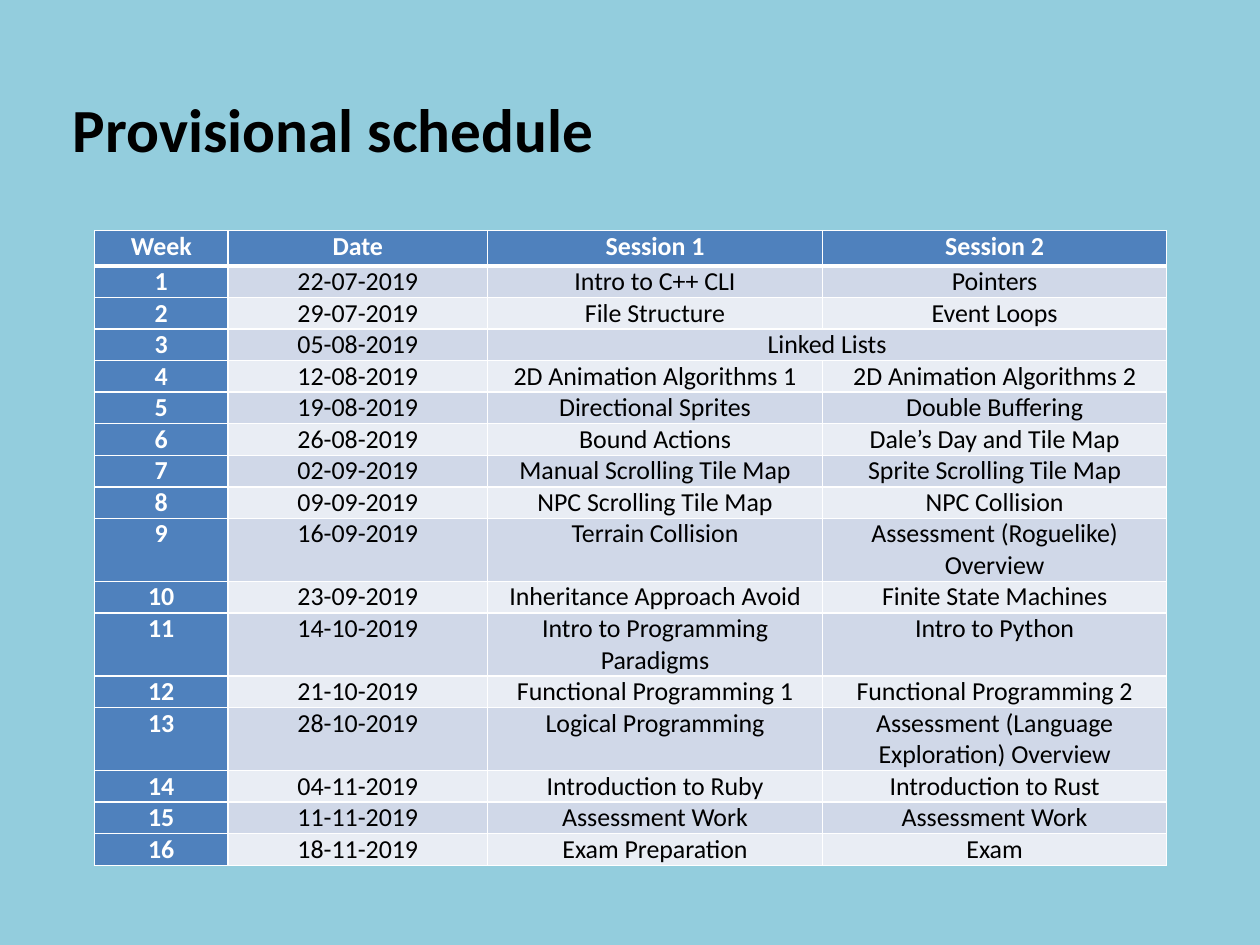
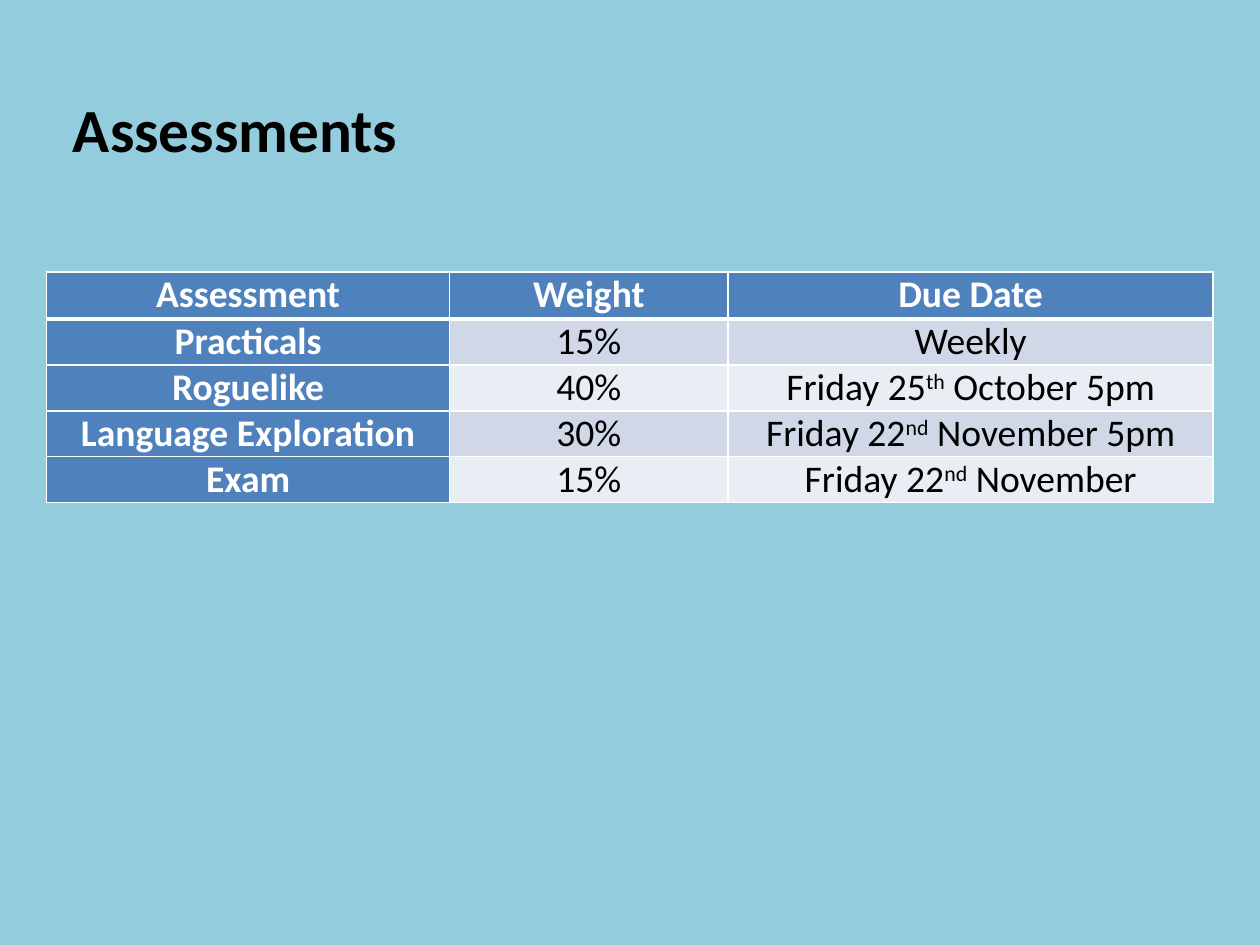
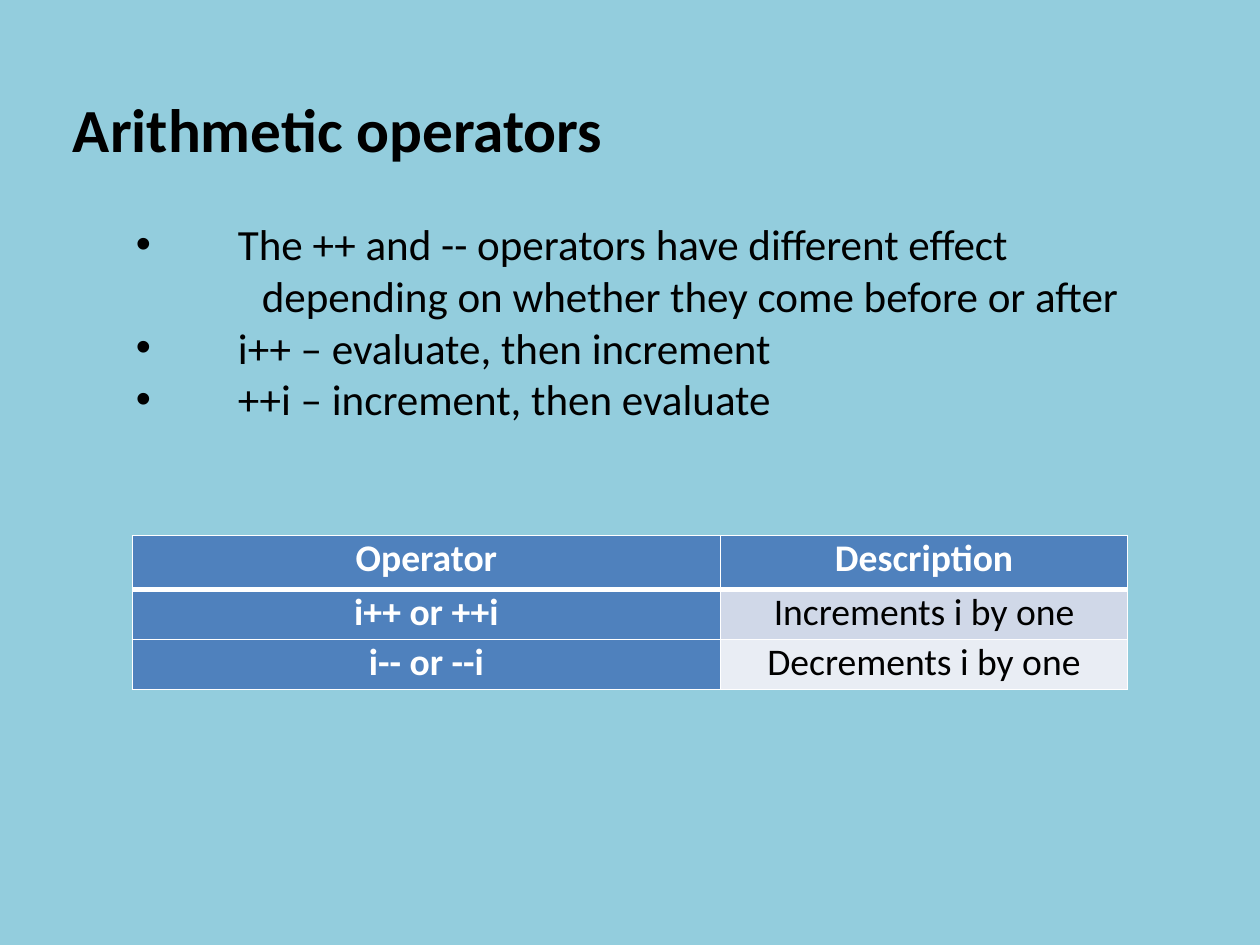
from dataclasses import dataclass

from lxml import etree
from pptx import Presentation
from pptx.dml.color import RGBColor
from pptx.enum import text as t
from pptx.oxml import ns
from pptx.util import Pt

COLORS = {
    "background": "93CDDD",
    "header": "4F81BD",
    "odd": "D0D8E8",
    "even": "E9EDF4",
    "white": "FFFFFF",
    "black": "000000",
}
FONT = "Calibri"
FRAME_LEFT = 0.72
SLIDE_WIDTH, SLIDE_HEIGHT = 720, 540
TITLE_SIZE, BODY_SIZE = 35, 24.6


@dataclass(frozen=True)
class TableBlock:
    left: float
    top: float
    columns: tuple[float, ...]
    header_height: float
    line_height: float
    size: float
    inset: float
    rows: tuple[tuple[str | None, ...], ...]
    tall_rows: tuple[int, ...] = ()


@dataclass(frozen=True)
class Point:
    text: str
    indent: float = 130.3
    hanging: float = 58.3
    bullet: bool = True


SCHEDULE = TableBlock(
    left=54, top=131.8, columns=(76.3, 148.3, 191.5, 196.6),
    header_height=20.2, line_height=18, size=14.8, inset=7.2,
    tall_rows=(9, 11, 13),
    rows=(
        ("Week", "Date", "Session 1", "Session 2"),
        ("1", "22-07-2019", "Intro to C++ CLI", "Pointers"),
        ("2", "29-07-2019", "File Structure", "Event Loops"),
        ("3", "05-08-2019", "Linked Lists", None),
        ("4", "12-08-2019", "2D Animation Algorithms 1", "2D Animation Algorithms 2"),
        ("5", "19-08-2019", "Directional Sprites", "Double Buffering"),
        ("6", "26-08-2019", "Bound Actions", "Dale’s Day and Tile Map"),
        ("7", "02-09-2019", "Manual Scrolling Tile Map", "Sprite Scrolling Tile Map"),
        ("8", "09-09-2019", "NPC Scrolling Tile Map", "NPC Collision"),
        ("9", "16-09-2019", "Terrain Collision", "Assessment (Roguelike) Overview"),
        ("10", "23-09-2019", "Inheritance Approach Avoid", "Finite State Machines"),
        ("11", "14-10-2019", "Intro to Programming Paradigms", "Intro to Python"),
        ("12", "21-10-2019", "Functional Programming 1", "Functional Programming 2"),
        ("13", "28-10-2019", "Logical Programming", "Assessment (Language Exploration) Overview"),
        ("14", "04-11-2019", "Introduction to Ruby", "Introduction to Rust"),
        ("15", "11-11-2019", "Assessment Work", "Assessment Work"),
        ("16", "18-11-2019", "Exam Preparation", "Exam"),
    ),
)

ASSESSMENTS = TableBlock(
    left=26.6, top=155.5, columns=(230.4, 159.1, 277.2),
    header_height=26.9, line_height=26.2, size=21.5, inset=7.9,
    rows=(
        ("Assessment", "Weight", "Due Date"),
        ("Practicals", "15%", "Weekly"),
        ("Roguelike", "40%", "Friday 25^th^ October 5pm"),
        ("Language Exploration", "30%", "Friday 22^nd^ November 5pm"),
        ("Exam", "15%", "Friday 22^nd^ November"),
    ),
)

OPERATORS = TableBlock(
    left=75.6, top=306, columns=(336.2, 232.6),
    header_height=31, line_height=28.5, size=21.5, inset=11.5,
    rows=(
        ("Operator", "Description"),
        ("i++ or ++i", "Increments i by one"),
        ("i-- or --i", "Decrements i by one"),
    ),
)

OPERATOR_POINTS = (
    Point("The ++ and -- operators have different effect"),
    Point("depending on whether they come before or after", indent=144, hanging=0, bullet=False),
    Point("i++ – evaluate, then increment"),
    Point("++i – increment, then evaluate"),
)


def color(name: str) -> RGBColor:
    return RGBColor.from_string(COLORS[name])


def write_text(paragraph, content: str, *, size: float, ink: str = "black",
               bold: bool = False, align=t.PP_ALIGN.LEFT) -> None:
    paragraph.alignment = align
    for index, part in enumerate(content.split("^")):
        run = paragraph.add_run()
        run.text = part
        run.font.name = FONT
        run.font.size = Pt(size)
        run.font.bold = bold
        run.font.color.rgb = color(ink)
        if index % 2:
            run.font._element.set("baseline", "30000")


def set_frame(frame, left: float, bottom: float, anchor) -> None:
    frame.word_wrap = True
    frame.auto_size = t.MSO_AUTO_SIZE.NONE
    frame.vertical_anchor = anchor
    frame.margin_left, frame.margin_bottom = Pt(left), Pt(bottom)
    frame.margin_right, frame.margin_top = Pt(5), Pt(0)


def add_slide(presentation, title: str):
    slide = presentation.slides.add_slide(presentation.slide_layouts[5])
    shape = slide.shapes.title
    shape.left, shape.top = Pt(FRAME_LEFT), Pt(FRAME_LEFT)
    shape.width, shape.height = Pt(SLIDE_WIDTH), Pt(96.5)
    set_frame(shape.text_frame, 41, 3, t.MSO_ANCHOR.BOTTOM)
    write_text(shape.text_frame.paragraphs[0], title, size=TITLE_SIZE, bold=True)
    return slide


def set_borders(cell, row: int) -> None:
    properties = cell._tc.get_or_add_tcPr()
    widths = {"lnL": 1, "lnR": 1, "lnT": 3 if row == 1 else 1, "lnB": 3 if row == 0 else 1}
    for tag, width in widths.items():
        line = etree.SubElement(properties, ns.qn(f"a:{tag}"), w=str(Pt(width)))
        fill = etree.SubElement(line, ns.qn("a:solidFill"))
        etree.SubElement(fill, ns.qn("a:srgbClr"), val=COLORS["white"])


def add_table(slide, block: TableBlock) -> None:
    heights = [block.header_height] + [
        block.line_height * (2 if row in block.tall_rows else 1)
        for row in range(1, len(block.rows))
    ]
    table = slide.shapes.add_table(
        len(block.rows), len(block.columns), Pt(block.left), Pt(block.top),
        Pt(sum(block.columns)), Pt(sum(heights)),
    ).table
    for column, width in zip(table.columns, block.columns):
        column.width = Pt(width)
    for row, (values, height) in enumerate(zip(block.rows, heights)):
        table.rows[row].height = Pt(height)
        for column, value in enumerate(values):
            cell = table.cell(row, column)
            is_header = row == 0 or column == 0
            set_borders(cell, row)
            cell.fill.solid()
            cell.fill.fore_color.rgb = color("header" if is_header else "odd" if row % 2 else "even")
            cell.margin_left = cell.margin_right = Pt(block.inset)
            cell.margin_top = cell.margin_bottom = Pt(0)
            if value is None:
                table.cell(row, column - 1).merge(cell)
            else:
                write_text(cell.text_frame.paragraphs[0], value, size=block.size,
                           ink="white" if is_header else "black", bold=is_header,
                           align=t.PP_ALIGN.CENTER)


def add_points(slide, points: tuple[Point, ...]) -> None:
    shape = slide.shapes.add_textbox(Pt(FRAME_LEFT), Pt(124.5), Pt(SLIDE_WIDTH), Pt(122))
    frame = shape.text_frame
    set_frame(frame, 5, 0, t.MSO_ANCHOR.TOP)
    for index, point in enumerate(points):
        paragraph = frame.add_paragraph() if index else frame.paragraphs[0]
        properties = paragraph._p.get_or_add_pPr()
        properties.set("marL", str(Pt(point.indent)))
        properties.set("indent", str(Pt(-point.hanging)))
        if point.bullet:
            etree.SubElement(properties, ns.qn("a:buFont"), typeface="Arial")
            etree.SubElement(properties, ns.qn("a:buChar"), char="•")
        write_text(paragraph, point.text, size=BODY_SIZE)


def main() -> None:
    presentation = Presentation()
    presentation.slide_width, presentation.slide_height = Pt(SLIDE_WIDTH), Pt(SLIDE_HEIGHT)
    background = presentation.slide_master.background.fill
    background.solid()
    background.fore_color.rgb = color("background")

    add_table(add_slide(presentation, "Provisional schedule"), SCHEDULE)
    add_table(add_slide(presentation, "Assessments"), ASSESSMENTS)
    operators = add_slide(presentation, "Arithmetic operators")
    add_points(operators, OPERATOR_POINTS)
    add_table(operators, OPERATORS)

    presentation.save("out.pptx")


if __name__ == "__main__":
    main()
